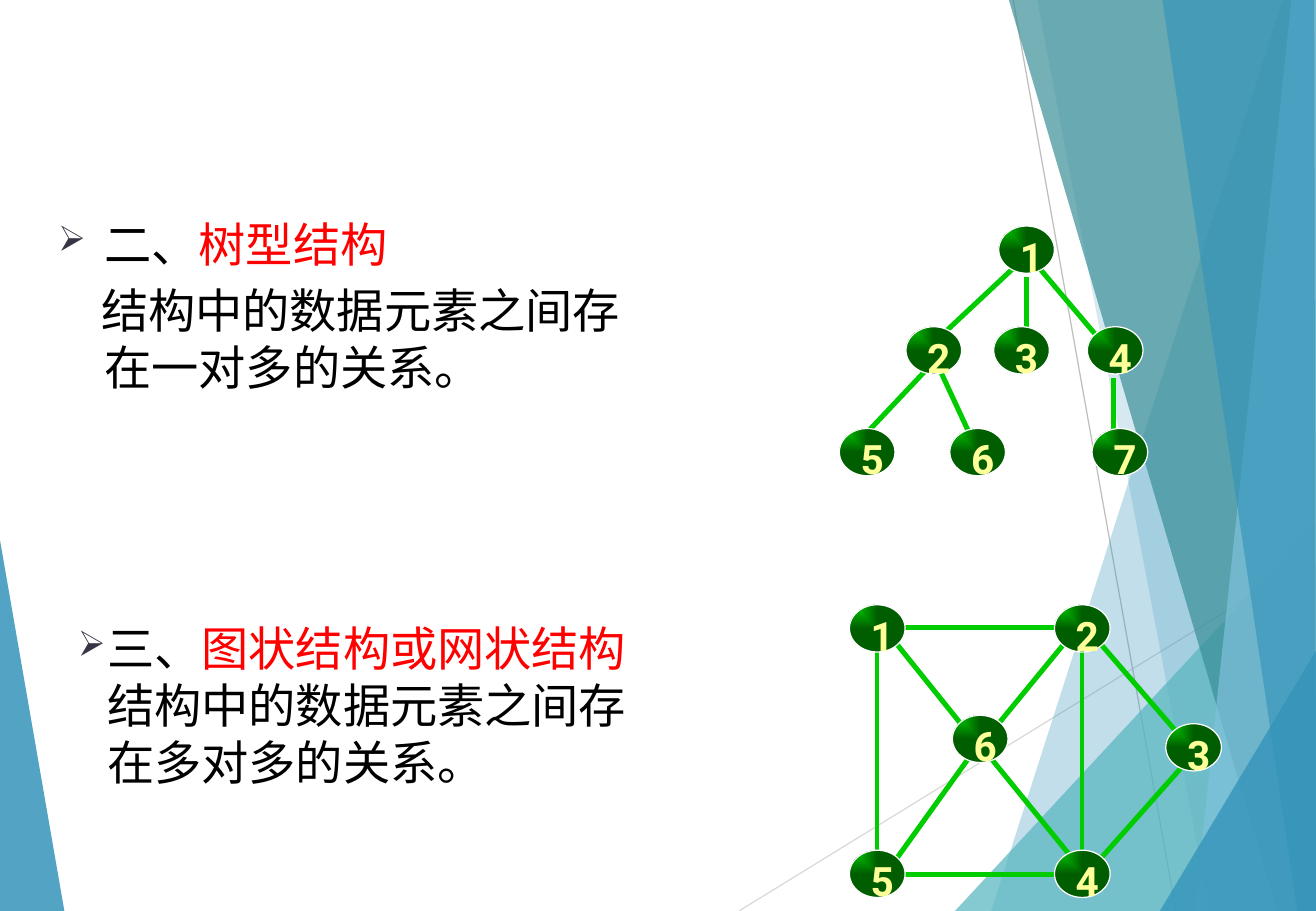
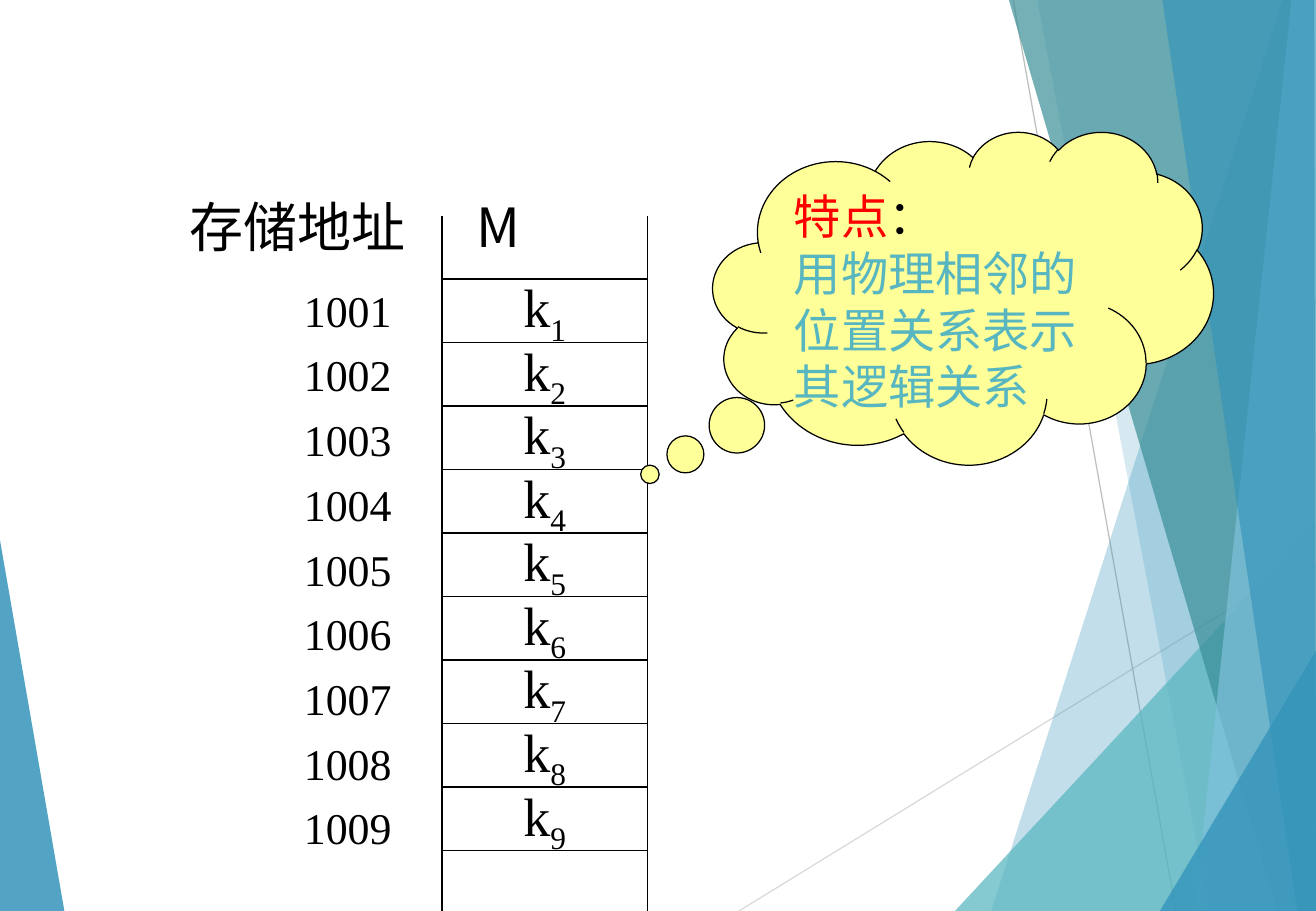
from lxml.etree import SubElement as Sub
from pptx import Presentation
from pptx.dml.color import RGBColor as Rgb
from pptx.enum.shapes import MSO_CONNECTOR as Link, MSO_SHAPE as Form
from pptx.enum.text import MSO_ANCHOR as Anchor, PP_ALIGN as Align
from pptx.oxml.ns import qn
from pptx.util import Pt


class Theme:
    blue = "3494BA"
    aqua = "58B6C0"
    teal = "3A8F98"
    sky = "7FC1DB"
    pale = "D9D9D9"
    gray = "BFBFBF"
    slate = "373545"
    black = "000000"
    white = "FFFFFF"
    red = "FF0000"
    green = "00CC00"
    dark = "005E00"
    cream = "FFFF99"
    serif = "Times New Roman"
    sans = "Roboto"
    han = "Noto Sans CJK SC"
    head = 32
    body = 28
    list = 26
    node = 24
    thin = 0.75
    mid = 2.25
    bold = 3


def rule(page, ends, color, width):
    link = page.shapes.add_connector(Link.STRAIGHT, *map(Pt, ends))
    link.line.width = Pt(width)
    link.line.color.rgb = Rgb.from_string(color)
    Sub(link.element.spPr, qn("a:effectLst"))


def write(para, parts, face, size):
    for text, color in parts:
        run = para.add_run()
        run.text = text
        run.font.name = face
        run.font.size = Pt(size)
        run.font.color.rgb = Rgb.from_string(color)


deck = Presentation()
deck.slide_width, deck.slide_height = Pt(780), Pt(540)
blank = deck.slide_layouts[6]
for holder in list(blank.placeholders):
    holder.element.getparent().remove(holder.element)

page = deck.slides.add_slide(blank)
low, edge = 540, 780.5
bands = [
    (Theme.blue, 85, [(-0.7, 316), (38.2, low), (-0.7, low)]),
    (Theme.blue, 30, [(760.3, 0), (587.5, low), (edge, low), (edge, 0)]),
    (Theme.blue, 20, [(614.8, 0), (717, low), (edge, low), (edge, 0)]),
    (Theme.aqua, 72, [(566, low), (edge, 309), (edge, low)]),
    (Theme.teal, 70, [(598, 0), (757, low), (edge, low), (edge, 0)]),
    (Theme.sky, 70, [(765.5, 0), (708, low), (edge, low), (edge, 0)]),
    (Theme.blue, 65, [(689, 0), (769, low), (780, low), (779, 0)]),
    (Theme.blue, 80, [(687.5, low), (edge, 385), (edge, low)]),
]
for place, (color, alpha, points) in enumerate(bands):
    if place == 1:
        rule(page, (438, low, 781, 329), Theme.pale, Theme.thin)
        rule(page, (600.5, 0, 697, low), Theme.gray, Theme.thin)
    spots = [(Pt(x), Pt(y)) for x, y in points]
    pen = page.shapes.build_freeform(*spots[0])
    pen.add_line_segments(spots[1:])
    band = pen.convert_to_shape()
    band.shadow.inherit = False
    band.fill.solid()
    band.fill.fore_color.rgb = Rgb.from_string(color)
    tint = band.element.spPr.find(".//" + qn("a:srgbClr"))
    Sub(tint, qn("a:alpha"), val=str(alpha * 1000))
    band.line.fill.background()
for item in list(page.shapes):
    blank.shapes.element.append(item.element)

topics = [
    ((27.4, 123.8, 368.6, 120), 27.4, -2, 6,
     "二、", "树型结构", "结构中的数据元素之间存在一对多的关系。"),
    ((39, 363.6, 356.4, 108), 17.5, 0, 0,
     "三、", "图状结构或网状结构", "结构中的数据元素之间存在多对多的关系。"),
]
for place, left, first, gap, mark, name, note in topics:
    frame = page.shapes.add_textbox(*map(Pt, place)).text_frame
    frame.word_wrap = True
    title, body = frame.paragraphs[0], frame.add_paragraph()
    body.space_before = Pt(gap)
    for para, dent in ((title, -left), (body, first)):
        props = para._p.get_or_add_pPr()
        props.set("marL", str(Pt(left)))
        props.set("indent", str(Pt(dent)))
    props = title._p.get_or_add_pPr()
    Sub(Sub(props, qn("a:buClr")), qn("a:srgbClr"), val=Theme.slate)
    Sub(props, qn("a:buSzPct"), val="75000")
    Sub(props, qn("a:buChar"), char="➢")
    write(title, [(mark, Theme.black), (name, Theme.red)], Theme.serif, Theme.body)
    write(body, [(note, Theme.black)], Theme.serif, Theme.body)

tree = (
    [(592, 134), (537, 193.7), (589, 193.7), (644.5, 193.7),
     (497.5, 254), (563, 254), (647.3, 254)],
    [(660.2, 224, 660.2, 265.7), (550, 218.2, 510.5, 260),
     (602, 157.7, 556.6, 200.2), (556.6, 218.2, 576, 260),
     (615, 157.7, 658.8, 209.5), (608.4, 164.2, 608.4, 206)],
    [],
)
graph = (
    [(503.5, 358.5), (625, 358.5), (691, 429), (625, 504), (503.5, 504), (564.5, 424)],
    [(630.7, 381.6, 591.8, 429), (702.7, 452.2, 652.3, 509),
     (575.3, 447.8, 531.4, 509), (586, 447.8, 635.8, 509),
     (536.4, 518.4, 625, 518.4), (536.4, 372.2, 625, 372.2),
     (652.3, 381.6, 697, 433.4), (531.4, 381.6, 569.5, 429)],
    [(519.8, 386.6, 519.8, 504), (641.5, 386.6, 641.5, 504)],
)
for nodes, thick, slim in (tree, graph):
    for width, links in ((Theme.bold, thick), (Theme.mid, slim)):
        for ends in links:
            rule(page, ends, Theme.green, width)
    for count, (x, y) in enumerate(nodes, 1):
        node = page.shapes.add_shape(Form.OVAL, Pt(x), Pt(y), Pt(33), Pt(28))
        node.shadow.inherit = False
        node.fill.gradient()
        for stop, color in zip(node.fill.gradient_stops, (Theme.green, Theme.dark)):
            stop.color.rgb = Rgb.from_string(color)
        grad = node.element.spPr.find(qn("a:gradFill"))
        grad.remove(grad.find(qn("a:lin")))
        glow = Sub(grad, qn("a:path"), path="rect")
        Sub(glow, qn("a:fillToRect"), l="0", t="0", r="100000", b="100000")
        node.line.color.rgb = Rgb.from_string(Theme.white)
        node.line.width = Pt(Theme.thin)
        label = page.shapes.add_textbox(Pt(x + 5.5), Pt(y), Pt(28), Pt(36)).text_frame
        label.word_wrap = False
        write(label.paragraphs[0], [(str(count), Theme.cream)], Theme.sans, Theme.node)
        label.paragraphs[0].runs[0].font.bold = True

page = deck.slides.add_slide(blank)
left, top, wide, step = 262, 165.4, 121.7, 37.65
for row in range(9):
    cell = page.shapes.add_shape(
        Form.RECTANGLE, Pt(left), Pt(top + row * step), Pt(wide), Pt(step))
    cell.shadow.inherit = False
    cell.fill.solid()
    cell.fill.fore_color.rgb = Rgb.from_string(Theme.white)
    cell.line.color.rgb = Rgb.from_string(Theme.black)
    cell.line.width = Pt(Theme.thin)
    frame = cell.text_frame
    frame.word_wrap = False
    frame.vertical_anchor = Anchor.MIDDLE
    para = frame.paragraphs[0]
    para.alignment = Align.CENTER
    write(para, [("k", Theme.black), (str(row + 1), Theme.black)], Theme.serif, Theme.head)
    para.runs[1].font._element.set("baseline", "-25000")
for x in (left, left + wide):
    rule(page, (x, 128, x, 542), Theme.black, Theme.thin)

frame = page.shapes.add_textbox(Pt(105.5), Pt(111), Pt(246), Pt(45)).text_frame
frame.word_wrap = True
para = frame.paragraphs[0]
tabs = Sub(para._p.get_or_add_pPr(), qn("a:tabLst"))
Sub(tabs, qn("a:tab"), pos=str(Pt(170)), algn="l")
write(para, [("存储地址\tM", Theme.black)], Theme.han, Theme.head)

frame = page.shapes.add_textbox(Pt(173), Pt(168), Pt(109), Pt(348)).text_frame
frame.word_wrap = True
for row in range(9):
    para = frame.add_paragraph() if row else frame.paragraphs[0]
    para.line_spacing = 0.9
    if row:
        para.space_before = Pt(10.3)
    write(para, [(str(1001 + row), Theme.black)], Theme.serif, Theme.list)

cloud = page.shapes.add_shape(
    Form.CLOUD_CALLOUT, Pt(422.6), Pt(77.8), Pt(296.6), Pt(197.3))
cloud.shadow.inherit = False
cloud.adjustments[0] = -0.626
cloud.adjustments[1] = 0.531
cloud.fill.solid()
cloud.fill.fore_color.rgb = Rgb.from_string(Theme.cream)
cloud.line.color.rgb = Rgb.from_string(Theme.black)
cloud.line.width = Pt(Theme.thin)
frame = cloud.text_frame
frame.word_wrap = True
frame.vertical_anchor = Anchor.TOP
title, body = frame.paragraphs[0], frame.add_paragraph()
title.alignment = body.alignment = Align.LEFT
write(title, [("特点", Theme.red), ("：", Theme.black)], Theme.sans, Theme.body)
write(body, [("用物理相邻的位置关系表示其逻辑关系", Theme.aqua)], Theme.sans, Theme.body)

deck.save("out.pptx")
